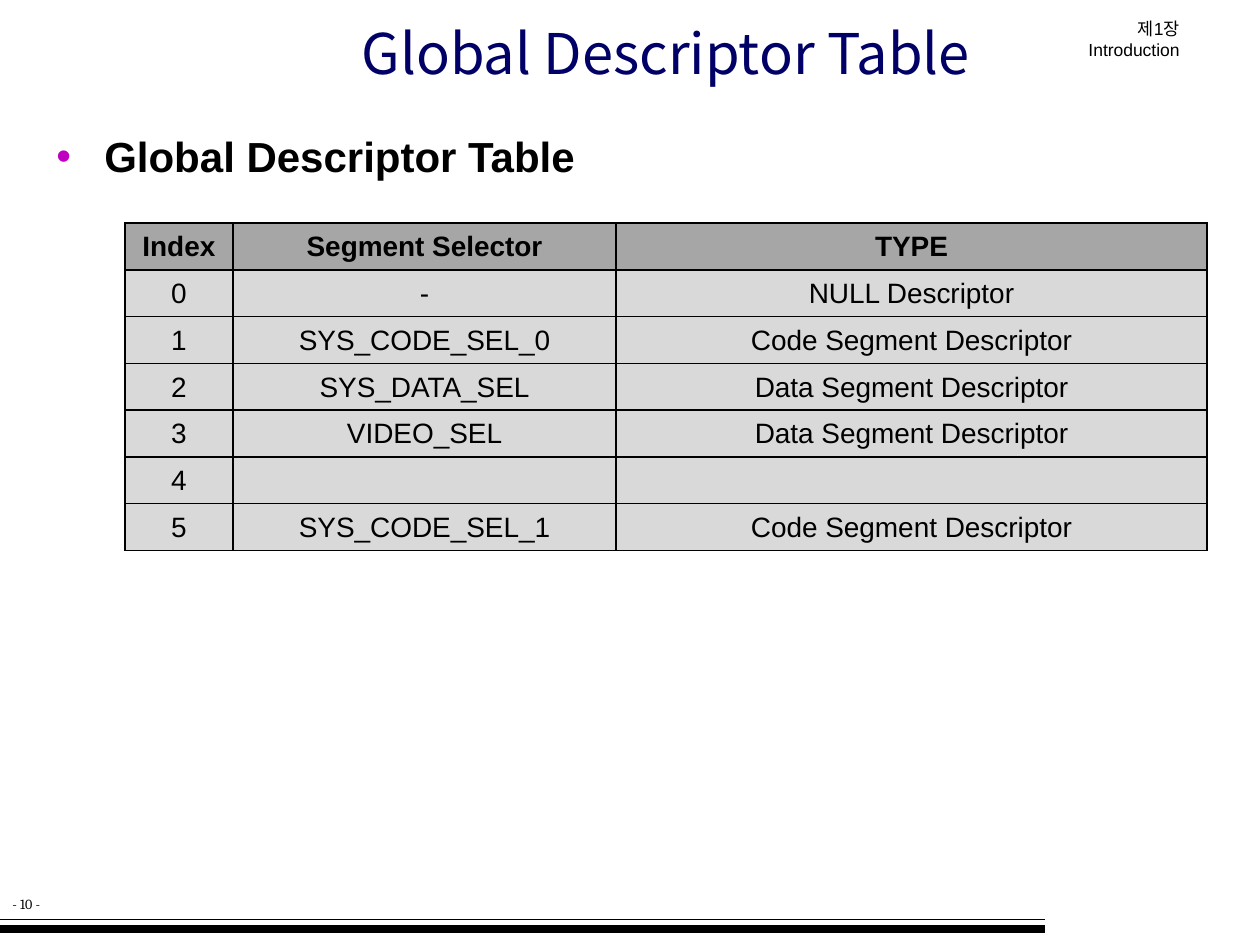
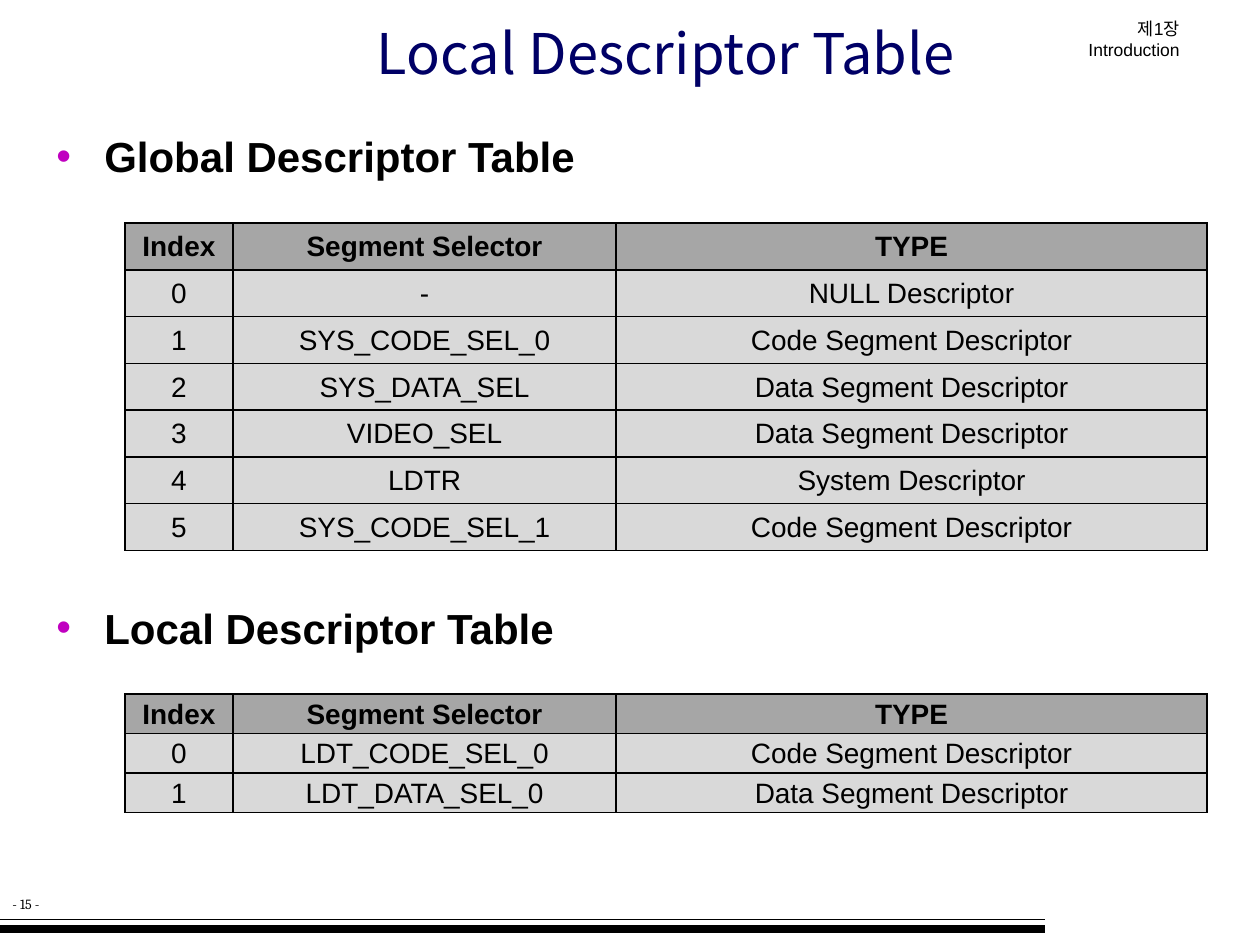
from pptx import Presentation
from pptx.dml.color import RGBColor
from pptx.enum.shapes import MSO_CONNECTOR as Conn
from pptx.enum.text import MSO_ANCHOR as Anchor, PP_ALIGN as Align
from pptx.oxml import parse_xml
from pptx.oxml.ns import nsdecls
from pptx.util import Inches, Pt

HUES = {"ink": "000000", "title": "000066", "dot": "C000C0",
        "head": "A6A6A6", "body": "D9D9D9", "page": "FFFFFF"}
SANS, SERIF, CJK = "Arial", "Cambria", "Noto Sans CJK KR"
COLS, ROWS = 100, 75
WIDTHS = (8.6, 30.4, 46.9)
HEADS = ("Index", "Segment Selector", "TYPE")
CODE, DATA = "Code Segment Descriptor", "Data Segment Descriptor"


def node(tag, inner="", attrs=""):
    return parse_xml(f"<a:{tag} {nsdecls('a')} {attrs}>{inner}</a:{tag}>")


def tint(name):
    return RGBColor.from_string(HUES[name])


class Deck:
    """Holds the shared style and the slide being filled."""

    def __init__(self):
        self.prs = Presentation()
        self.prs.slide_width, self.prs.slide_height = Inches(10), Inches(7.5)
        self.slide = None

    def x(self, cols):
        return round(self.prs.slide_width * cols / COLS)

    def y(self, rows):
        return round(self.prs.slide_height * rows / ROWS)

    def box(self, left, top, width, height, wrap=True, anchor=Anchor.TOP):
        frame = self.slide.shapes.add_textbox(
            self.x(left), self.y(top), self.x(width), self.y(height)).text_frame
        frame.word_wrap = wrap
        frame.vertical_anchor = anchor
        return frame

    def run(self, para, text, size, font=SANS, hue="ink", bold=False):
        run = para.add_run()
        run.text = text
        run.font.size, run.font.name, run.font.bold = Pt(size), font, bold
        run.font.color.rgb = tint(hue)
        return run

    def lead(self, para):
        """Put a fifth of a line above the paragraph."""
        para._p.get_or_add_pPr().append(
            node("spcBef", '<a:spcPct val="20000"/>'))

    def rule(self, row, width):
        line = self.slide.shapes.add_connector(
            Conn.STRAIGHT, 0, self.y(row), self.x(82.9), self.y(row))
        line.line.color.rgb = tint("ink")
        line.line.width = Pt(width)
        line._element.spPr.append(node("effectLst"))

    def page(self, title, number):
        """Start a slide with its footer, chapter mark and title."""
        self.slide = self.prs.slides.add_slide(self.prs.slide_layouts[6])
        fill = self.slide.background.fill
        fill.solid()
        fill.fore_color.rgb = tint("page")
        foot = self.box(0, 70.6, 4.8, 2.4, wrap=False).paragraphs[0]
        self.run(foot, f"- {number} -", 8, SERIF)
        mark = self.box(81.3, 0.9, 13.3, 2.7).paragraphs[0]
        mark.alignment = Align.RIGHT
        self.lead(mark)
        chapter = self.run(mark, "제1장", 10)
        chapter.font._element.append(node("ea", attrs=f'typeface="{CJK}"'))
        mark.add_line_break()
        self.run(mark, "Introduction", 10)
        self.rule(73.7, 4.5)
        self.rule(73, 0.75)
        head = self.box(8.6, 1, 88.5, 6.3, anchor=Anchor.MIDDLE).paragraphs[0]
        head.alignment = Align.CENTER
        self.run(head, title, 32, CJK, "title")

    def points(self, *texts):
        """Bulleted headings, one above each table."""
        frame = self.box(3.5, 9.9, 93.7, 60.6)
        for i, text in enumerate(texts):
            para = frame.add_paragraph() if i else frame.paragraphs[0]
            if i:
                para.space_before = Pt(240.4)
            else:
                self.lead(para)
            props = para._p.get_or_add_pPr()
            props.set("marL", str(Inches(0.38)))
            props.set("indent", str(-Inches(0.38)))
            props.append(node("buClr", f'<a:srgbClr val="{HUES["dot"]}"/>'))
            props.append(node("buFont", attrs=f'typeface="{SANS}"'))
            props.append(node("buChar", attrs='char="•"'))
            self.run(para, text, 24, bold=True)

    def cell(self, cell, text, head):
        cell.margin_left = cell.margin_right = cell.margin_top = Inches(0.01)
        cell.margin_bottom = 0
        cell.vertical_anchor = Anchor.MIDDLE
        props = cell._tc.get_or_add_tcPr()
        ink = f'<a:solidFill><a:srgbClr val="{HUES["ink"]}"/></a:solidFill>'
        for side in "LRTB":
            props.append(node(f"ln{side}", ink, f'w="{Pt(1)}"'))
        cell.fill.solid()
        cell.fill.fore_color.rgb = tint("head" if head else "body")
        para = cell.text_frame.paragraphs[0]
        para.alignment = Align.CENTER
        if text:
            self.run(para, text, 16, bold=head)

    def table(self, top, height, rows):
        """Descriptor table; rows is a dict of index to selector and type."""
        lines = [HEADS] + [(str(i), *pair) for i, pair in rows.items()]
        table = self.slide.shapes.add_table(
            len(lines), len(HEADS), self.x(9.9), self.y(top),
            self.x(sum(WIDTHS)), self.y(height)).table
        table.first_row = table.horz_banding = False
        for col, width in zip(table.columns, WIDTHS):
            col.width = self.x(width)
        for r, line in enumerate(lines):
            table.rows[r].height = self.y(height / len(lines))
            for c, text in enumerate(line):
                self.cell(table.cell(r, c), text, r == 0)


def main():
    gdt = {0: ("-", "NULL Descriptor"), 1: ("SYS_CODE_SEL_0", CODE),
           2: ("SYS_DATA_SEL", DATA), 3: ("VIDEO_SEL", DATA),
           4: ("", ""), 5: ("SYS_CODE_SEL_1", CODE)}
    ldt = {0: ("LDT_CODE_SEL_0", CODE), 1: ("LDT_DATA_SEL_0", DATA)}
    deck = Deck()

    deck.page("Global Descriptor Table", 10)
    deck.points("Global Descriptor Table")
    deck.table(17.7, 26, gdt)

    deck.page("Local Descriptor Table", 15)
    deck.points("Global Descriptor Table", "Local Descriptor Table")
    deck.table(55.1, 9.4, ldt)
    deck.table(17.7, 26, gdt | {4: ("LDTR", "System Descriptor")})

    deck.prs.save("out.pptx")


if __name__ == "__main__":
    main()
